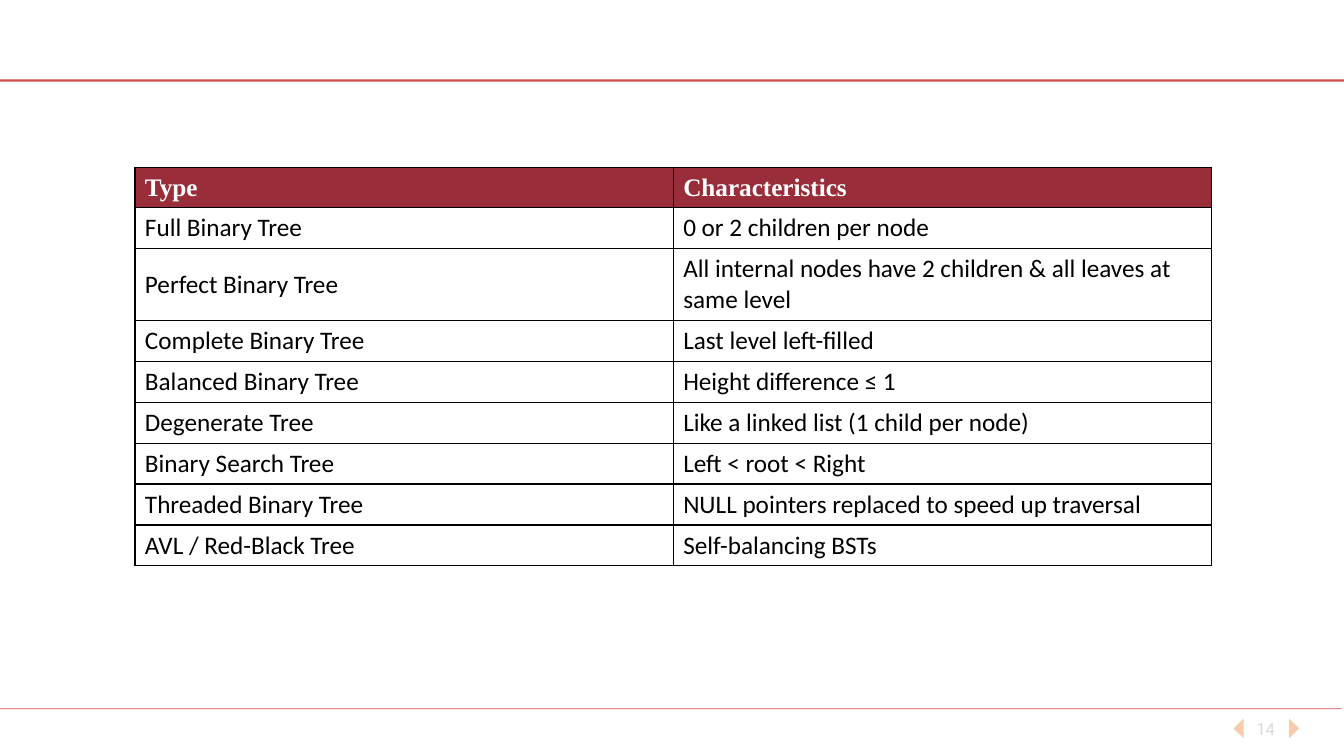
from lxml.etree import SubElement
from pptx import Presentation
from pptx.dml.color import RGBColor
from pptx.enum.shapes import MSO_CONNECTOR
from pptx.enum.text import MSO_ANCHOR, PP_ALIGN
from pptx.oxml.ns import qn
from pptx.util import Cm, Pt

RED, MAROON, PEACH = "C00000", "992E3A", "F8CBAD"
BLACK, WHITE, GREY = "000000", "FFFFFF", "D9D9D9"

TREES = [
    ("Type", "Characteristics"),
    ("Full Binary Tree", "0 or 2 children per node"),
    ("Perfect Binary Tree",
     "All internal nodes have 2 children & all leaves at same level"),
    ("Complete Binary Tree", "Last level left-filled"),
    ("Balanced Binary Tree", "Height difference ≤ 1"),
    ("Degenerate Tree", "Like a linked list (1 child per node)"),
    ("Binary Search Tree", "Left < root < Right"),
    ("Threaded Binary Tree", "NULL pointers replaced to speed up traversal"),
    ("AVL / Red-Black Tree", "Self-balancing BSTs"),
]
HEAD, LINE, DOUBLE = 0.97, 1.03, 1.81
HEIGHTS = [HEAD, LINE, DOUBLE] + [LINE] * 6


def color(code):
    return RGBColor.from_string(code)


def write(frame, text, font="Calibri", size=18, fill=BLACK, bold=False,
          align=PP_ALIGN.LEFT):
    para = frame.paragraphs[0]
    para.alignment = align
    run = para.add_run()
    run.text = text
    run.font.name = font
    run.font.size = Pt(size)
    run.font.bold = bold
    run.font.color.rgb = color(fill)


def add_rule(slide, top, right, width):
    rule = slide.shapes.add_connector(
        MSO_CONNECTOR.STRAIGHT, 0, Cm(top), Cm(right), Cm(top))
    rule.line.width = Pt(width)
    rule.line.color.rgb = color(RED)
    props = rule._element.spPr
    tint = props.find(".//" + qn("a:srgbClr"))
    SubElement(tint, qn("a:alpha"), val="70000")
    SubElement(props, qn("a:effectLst"))


def add_arrow(slide, base, tip):
    top, mid, low = Cm(18.11), Cm(18.36), Cm(18.6)
    pen = slide.shapes.build_freeform(Cm(base), top)
    pen.add_line_segments([(Cm(tip), mid), (Cm(base), low)], close=True)
    arrow = pen.convert_to_shape()
    arrow.shadow.inherit = False
    arrow.fill.solid()
    arrow.fill.fore_color.rgb = color(PEACH)
    arrow.line.fill.background()


def add_number(slide, text):
    box = slide.shapes.add_textbox(Cm(31.19), Cm(17.86), Cm(1.42), Cm(1.02))
    box.text_frame.word_wrap = True
    box.text_frame.vertical_anchor = MSO_ANCHOR.MIDDLE
    write(box.text_frame, text, font="Roboto", size=12, fill=GREY,
          align=PP_ALIGN.CENTER)


def set_border(cell):
    props = cell._tc.get_or_add_tcPr()
    for side in ("lnL", "lnR", "lnT", "lnB"):
        edge = SubElement(props, qn("a:" + side), w=str(Pt(1)))
        fill = SubElement(edge, qn("a:solidFill"))
        SubElement(fill, qn("a:srgbClr"), val=BLACK)


def add_grid(slide, rows, heights):
    frame = slide.shapes.add_table(
        len(rows), 2, Cm(3.4), Cm(4.22), Cm(27.13), Cm(sum(heights)))
    table = frame.table
    table.horz_banding = False
    for r, row in enumerate(rows):
        table.rows[r].height = Cm(heights[r])
        for c, text in enumerate(row):
            cell = table.cell(r, c)
            cell.vertical_anchor = MSO_ANCHOR.MIDDLE
            set_border(cell)
            if r == 0:
                cell.fill.solid()
                cell.fill.fore_color.rgb = color(MAROON)
                write(cell.text_frame, text, font="Times New Roman",
                      fill=WHITE, bold=True)
            else:
                cell.fill.background()
                write(cell.text_frame, text)


def main():
    deck = Presentation()
    deck.slide_width, deck.slide_height = Cm(33.87), Cm(19.05)
    slide = deck.slides.add_slide(deck.slide_layouts[6])

    # Page number between two arrows
    add_number(slide, "14")
    add_arrow(slide, 32.49, 32.74)
    add_arrow(slide, 31.34, 31.09)

    # Footer and header rules
    add_rule(slide, 17.86, 33.81, 0.5)
    add_rule(slide, 2.03, 33.87, 1.5)

    # Tree types
    add_grid(slide, TREES, HEIGHTS)

    deck.save("out.pptx")


if __name__ == "__main__":
    main()
